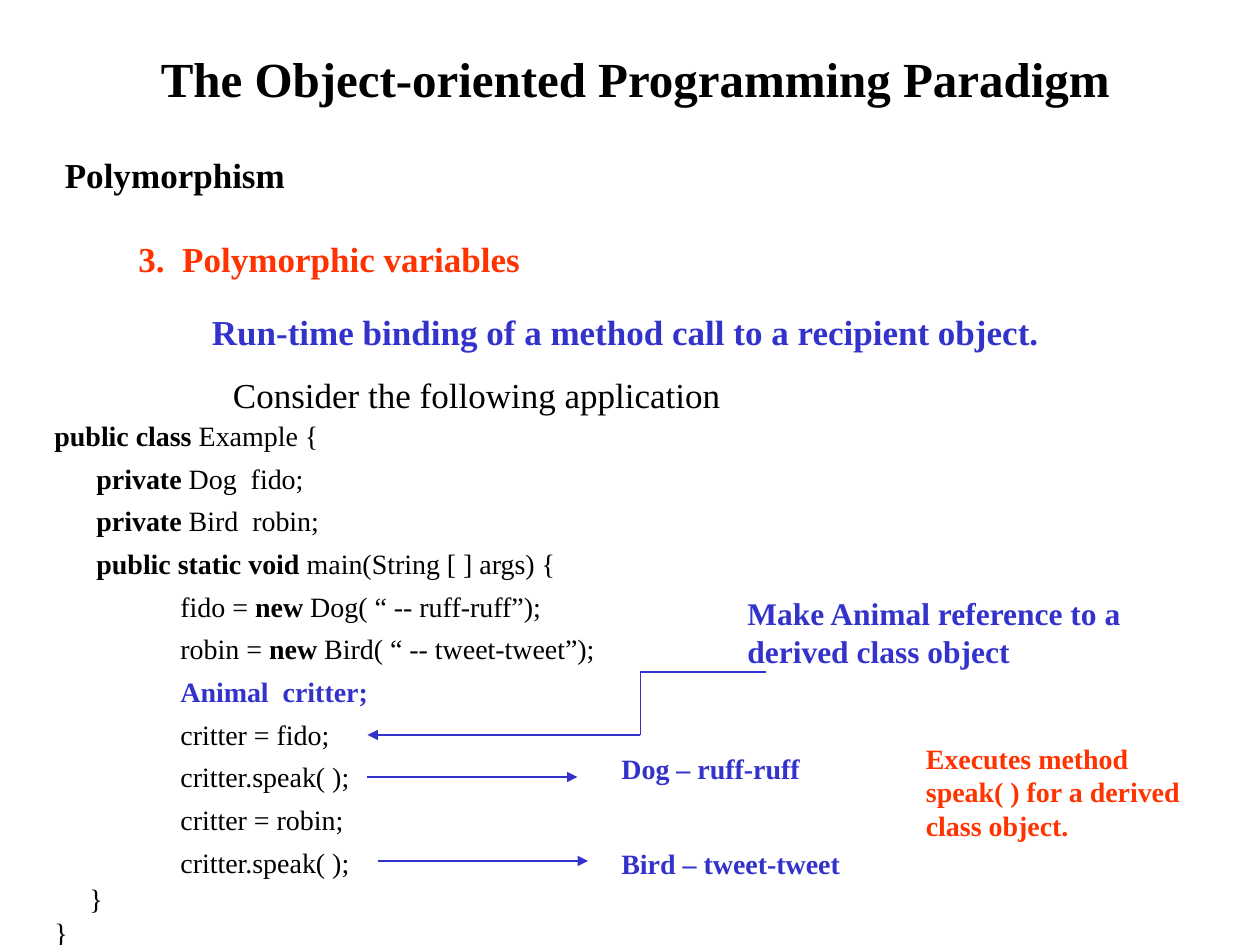
from dataclasses import dataclass

import lxml.etree
import pptx
import pptx.dml.color
import pptx.enum.shapes
import pptx.enum.text
import pptx.oxml.ns
import pptx.shapes.shapetree
import pptx.text.text
import pptx.util

Pt = pptx.util.Pt
Align = pptx.enum.text.PP_ALIGN
HUES = {"black": "000000", "red": "FF3300", "blue": "3333CC"}
FONT = "Times New Roman"


@dataclass
class Run:
    text: str
    bold: bool = False
    hue: str = "black"


@dataclass
class Line:
    runs: list[Run]
    inset: float = 0
    pitch: float | None = None


@dataclass
class Box:
    left: float
    top: float
    width: float
    height: float
    size: float
    lines: list[Line]
    gap: float
    align: Align = Align.LEFT


@dataclass
class Arrow:
    start: tuple[float, float]
    end: tuple[float, float]
    head: bool = True


def paint(hue: str) -> pptx.dml.color.RGBColor:
    return pptx.dml.color.RGBColor.from_string(HUES[hue])


def fill_line(par: pptx.text.text._Paragraph, line: Line, box: Box) -> None:
    par.alignment = box.align
    par.space_before = Pt(box.gap)
    if line.pitch:
        par.line_spacing = line.pitch
    if line.inset:
        props = par._p.get_or_add_pPr()
        props.set("marL", str(Pt(line.inset)))
        props.set("indent", "0")
    for item in line.runs:
        run = par.add_run()
        run.text = item.text
        run.font.name = FONT
        run.font.size = Pt(box.size)
        run.font.bold = item.bold
        run.font.color.rgb = paint(item.hue)


def draw_box(shapes: pptx.shapes.shapetree._BaseGroupShapes, box: Box) -> None:
    shape = shapes.add_textbox(Pt(box.left), Pt(box.top), Pt(box.width), Pt(box.height))
    frame = shape.text_frame
    frame.word_wrap = True
    frame.auto_size = pptx.enum.text.MSO_AUTO_SIZE.SHAPE_TO_FIT_TEXT
    for index, line in enumerate(box.lines):
        par = frame.add_paragraph() if index else frame.paragraphs[0]
        fill_line(par, line, box)


def draw_arrow(shapes: pptx.shapes.shapetree._BaseGroupShapes, arrow: Arrow) -> None:
    link = shapes.add_connector(
        pptx.enum.shapes.MSO_CONNECTOR.STRAIGHT,
        *(Pt(value) for value in arrow.start + arrow.end),
    )
    link.line.color.rgb = paint("blue")
    link.line.width = Pt(0.75)
    qname = pptx.oxml.ns.qn
    props = link._element.spPr
    if arrow.head:
        lxml.etree.SubElement(props.find(qname("a:ln")), qname("a:tailEnd"), type="triangle")
    lxml.etree.SubElement(props, qname("a:effectLst"))


def label(left: float, top: float, width: float, height: float, size: float,
          text: str, hue: str = "black", bold: bool = True,
          align: Align = Align.LEFT) -> Box:
    line = Line([Run(text, bold, hue)])
    return Box(left, top, width, height, size, [line], size * 0.625, align)


def code(inset: float, *runs: Run, pitch: float = 0.75) -> Line:
    return Line(list(runs), inset, pitch)


FIELD, BODY, CLOSE = 24, 72, 20

HEADS = [
    label(48, 24, 630, 41, 28, "The Object-oriented Programming Paradigm", align=Align.CENTER),
    label(30, 84, 378, 32, 20, "Polymorphism"),
    label(72, 132, 600, 32, 20, "3.  Polymorphic variables", "red"),
    label(114, 174, 552, 32, 20,
          "Run-time binding of a method call to a recipient object.", "blue"),
    label(126, 210, 564, 32, 20, "Consider the following application", bold=False),
]

CODE = Box(24, 240, 372, 305, 16, [
    code(0, Run("public class", True), Run(" Example {")),
    code(FIELD, Run("private", True), Run(" Dog  fido;")),
    code(FIELD, Run("private", True), Run(" Bird  robin;")),
    code(FIELD, Run("public static void", True), Run(" main(String [ ] args) {")),
    code(BODY, Run("fido = "), Run("new", True), Run(" Dog( “ -- ruff-ruff”);")),
    code(BODY, Run("robin = "), Run("new", True), Run(" Bird( “ -- tweet-tweet”);")),
    code(BODY, Run("Animal  critter;", True, "blue")),
    code(BODY, Run("critter = fido;")),
    code(BODY, Run("critter.speak( );")),
    code(BODY, Run("critter = robin;")),
    code(BODY, Run("critter.speak( );")),
    code(CLOSE, Run("}"), pitch=0.5),
    code(0, Run("}"), pitch=0.5),
], 10)

GROUPS = [
    (
        [label(348, 426, 348, 27, 16, "Dog – ruff-ruff", "blue"),
         label(348, 480, 306, 27, 16, "Bird – tweet-tweet", "blue")],
        [Arrow((210, 444), (330, 444)), Arrow((216, 492), (336, 492))],
    ),
    (
        [label(420, 336, 258, 50, 18,
               "Make Animal reference to a derived class object", "blue")],
        [Arrow((438, 384), (366, 384), False),
         Arrow((366, 384), (366, 420), False),
         Arrow((366, 420), (210, 420))],
    ),
]

NOTE = label(522, 420, 168, 65, 16,
             "Executes method speak( ) for a derived class object.", "red")


def main() -> None:
    deck = pptx.Presentation()
    deck.slide_width, deck.slide_height = Pt(720), Pt(540)
    shapes = deck.slides.add_slide(deck.slide_layouts[6]).shapes
    for box in [*HEADS, CODE]:
        draw_box(shapes, box)
    for boxes, arrows in GROUPS:
        group = shapes.add_group_shape().shapes
        for box in boxes:
            draw_box(group, box)
        for arrow in arrows:
            draw_arrow(group, arrow)
    draw_box(shapes, NOTE)
    deck.save("out.pptx")


if __name__ == "__main__":
    main()
